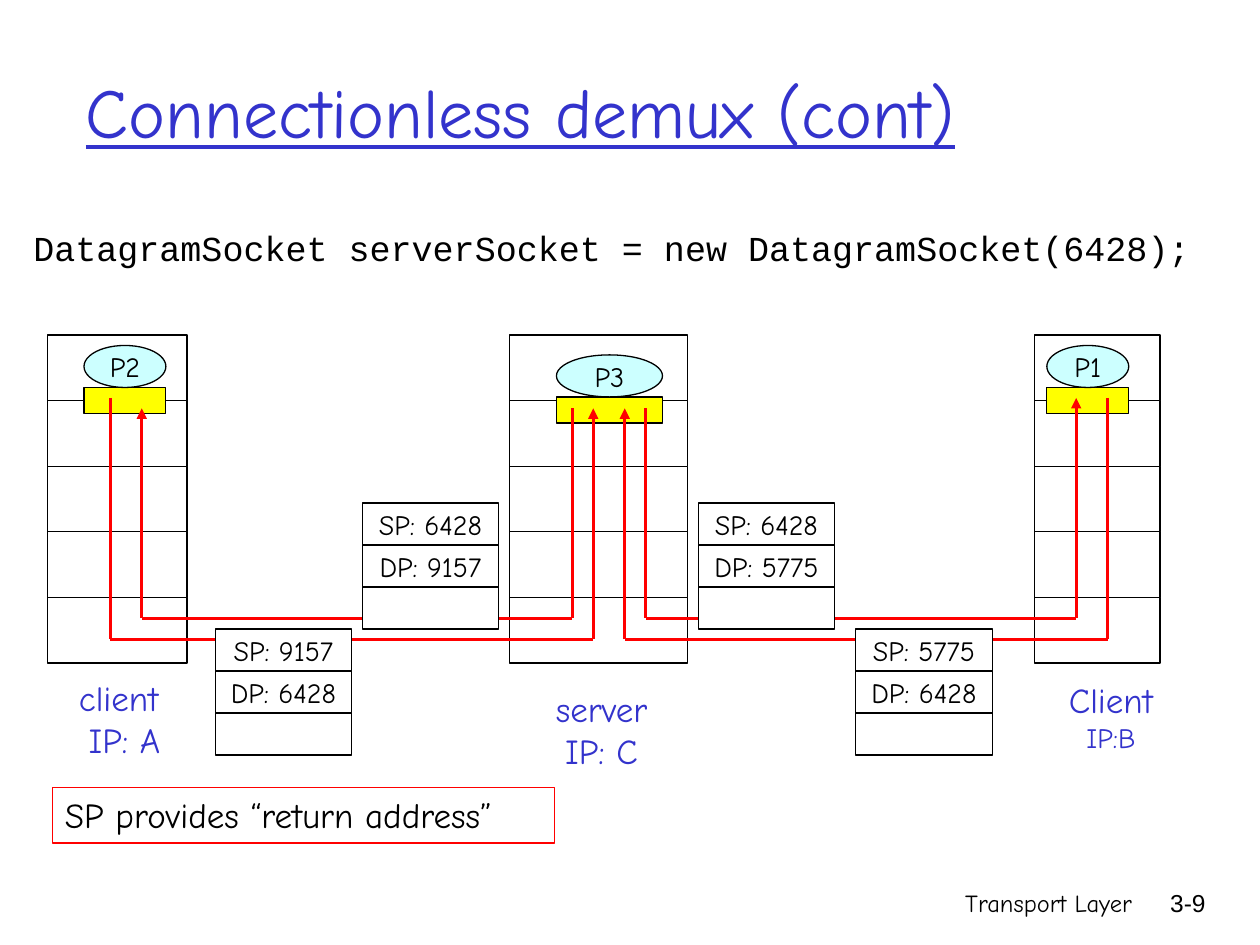
from dataclasses import dataclass

import pptx
import pptx.dml.color
import pptx.enum.shapes
import pptx.enum.text
import pptx.oxml.ns
import pptx.util
from lxml import etree

COLUMNS, ROWS = 120, 90
SLIDE_WIDTH = pptx.util.Inches(10)
SLIDE_HEIGHT = pptx.util.Inches(7.5)
LAYER_ROWS = 6.25
LAYERS = 5
PACKET_COLUMNS, PACKET_ROWS = 13, 4
PROCESS_ROWS, SOCKET_ROWS = 4, 2.5
COLORS = {
    "ink": "000000", "paper": "FFFFFF", "heading": "3333CC",
    "socket": "FFFF00", "process": "CCFFFF", "flow": "FF0000",
}
HAND, SANS, MONO = "Comic Neue", "Arial", "Courier New"
SHAPES = pptx.enum.shapes.MSO_SHAPE
ALIGN = pptx.enum.text.PP_ALIGN
ANCHOR = pptx.enum.text.MSO_ANCHOR


@dataclass(frozen=True)
class Area:
    """Place on the slide grid, in columns and rows."""
    column: float
    row: float
    columns: float
    rows: float

    def lengths(self) -> tuple[int, int, int, int]:
        return (across(self.column), down(self.row),
                across(self.columns), down(self.rows))


@dataclass(frozen=True)
class Line:
    text: str
    size: float = 20
    color: str = "ink"
    font: str = HAND
    underline: bool = False


@dataclass(frozen=True)
class Host:
    column: float
    columns: float
    process: str
    process_column: float
    process_row: float
    process_columns: float
    label_area: Area
    label: tuple[Line, ...]


@dataclass(frozen=True)
class Flow:
    """Path down from a sending socket, across, and up to a receiver."""
    start_column: float
    start_row: float
    low_row: float
    end_column: float
    end_row: float


@dataclass(frozen=True)
class Packet:
    column: float
    row: float
    source_port: int
    destination_port: int


HOSTS = (
    Host(4.5, 13.3, "P2", 8, 32.9, 7.8, Area(5.6, 63.8, 11.4, 9.2),
         (Line("client", color="heading"), Line(" IP: A", color="heading"))),
    Host(98.5, 12, "P1", 99.7, 32.9, 7.8, Area(100.1, 64, 11.4, 8.4),
         (Line("Client", color="heading"), Line("IP:B", 16, "heading"))),
    Host(48.5, 17, "P3", 53, 33.8, 10.1, Area(51, 64.9, 12.6, 9.2),
         (Line("server", color="heading"), Line("IP: C", color="heading"))),
)
FLOWS = (
    Flow(10.5, 37.9, 60.9, 56.5, 38.9),
    Flow(54.5, 38.9, 58.9, 13.5, 38.9),
    Flow(105.5, 37.9, 60.9, 59.5, 38.9),
    Flow(61.5, 38.9, 58.9, 102.5, 37.9),
)
PACKETS = (
    Packet(34.5, 47.9, 6428, 9157),
    Packet(20.5, 59.9, 9157, 6428),
    Packet(66.5, 47.9, 6428, 5775),
    Packet(81.5, 59.9, 5775, 6428),
)


def across(columns: float) -> int:
    return round(SLIDE_WIDTH * columns / COLUMNS)


def down(rows: float) -> int:
    return round(SLIDE_HEIGHT * rows / ROWS)


def rgb(name: str) -> pptx.dml.color.RGBColor:
    return pptx.dml.color.RGBColor.from_string(COLORS[name])


def write(shape, lines: tuple[Line, ...], align=ALIGN.CENTER,
          anchor=ANCHOR.TOP, wrap: bool = False) -> None:
    frame = shape.text_frame
    frame.word_wrap = wrap
    frame.vertical_anchor = anchor
    for index, line in enumerate(lines):
        paragraph = frame.add_paragraph() if index else frame.paragraphs[0]
        paragraph.text = line.text
        paragraph.alignment = align
        font = paragraph.font
        font.name = line.font
        font.size = pptx.util.Pt(line.size)
        font.color.rgb = rgb(line.color)
        if line.underline:
            font.underline = True


def add_text(slide, area: Area, *lines: Line, align=ALIGN.LEFT,
             anchor=ANCHOR.TOP, wrap: bool = True) -> None:
    write(slide.shapes.add_textbox(*area.lengths()), lines, align, anchor, wrap)


def add_box(slide, area: Area, fill: str | None = "paper", text: str = "",
            kind=SHAPES.RECTANGLE, outline: str = "ink"):
    shape = slide.shapes.add_shape(kind, *area.lengths())
    shape.shadow.inherit = False
    if fill:
        shape.fill.solid()
        shape.fill.fore_color.rgb = rgb(fill)
    else:
        shape.fill.background()
    shape.line.color.rgb = rgb(outline)
    shape.line.width = pptx.util.Pt(0.75)
    if text:
        write(shape, (Line(text, 16),), anchor=ANCHOR.MIDDLE)
    return shape


def add_host(slide, host: Host) -> None:
    for layer in range(LAYERS):
        add_box(slide, Area(host.column, 31.9 + layer * LAYER_ROWS,
                            host.columns, LAYER_ROWS))
    add_box(slide, Area(host.process_column, host.process_row + PROCESS_ROWS,
                        host.process_columns, SOCKET_ROWS), "socket")
    add_box(slide, Area(host.process_column, host.process_row,
                        host.process_columns, PROCESS_ROWS),
            "process", host.process, SHAPES.OVAL)
    add_text(slide, host.label_area, *host.label, align=ALIGN.CENTER, wrap=False)


def add_flow(slide, flow: Flow) -> None:
    corners = ((flow.start_column, flow.start_row),
               (flow.start_column, flow.low_row),
               (flow.end_column, flow.low_row),
               (flow.end_column, flow.end_row))
    for start, end in zip(corners, corners[1:]):
        connector = slide.shapes.add_connector(
            pptx.enum.shapes.MSO_CONNECTOR.STRAIGHT,
            across(start[0]), down(start[1]), across(end[0]), down(end[1]))
        connector.line.color.rgb = rgb("flow")
        connector.line.width = pptx.util.Pt(1.5)
        if end == corners[-1]:
            etree.SubElement(connector.line._get_or_add_ln(),
                             pptx.oxml.ns.qn("a:tailEnd"), type="triangle")
        etree.SubElement(connector._element.spPr, pptx.oxml.ns.qn("a:effectLst"))


def add_packet(slide, packet: Packet) -> None:
    fields = (f"SP: {packet.source_port}", f"DP: {packet.destination_port}", "")
    for index, field in enumerate(fields):
        add_box(slide, Area(packet.column, packet.row + index * PACKET_ROWS,
                            PACKET_COLUMNS, PACKET_ROWS), text=field)


def main() -> None:
    presentation = pptx.Presentation()
    presentation.slide_width = SLIDE_WIDTH
    presentation.slide_height = SLIDE_HEIGHT
    slide = presentation.slides.add_slide(presentation.slide_layouts[6])
    add_text(slide, Area(71, 84, 38, 6), Line("Transport Layer", 14), align=ALIGN.RIGHT)
    add_text(slide, Area(107.2, 84, 8.8, 6), Line("3-9", 14, font=SANS), align=ALIGN.RIGHT)
    add_text(slide, Area(7, 3, 102, 15),
             Line("Connectionless demux (cont)", 40, "heading", underline=True),
             anchor=ANCHOR.MIDDLE)
    add_text(slide, Area(2, 21, 114, 8),
             Line("DatagramSocket serverSocket = new DatagramSocket(6428);", font=MONO))
    for host in HOSTS:
        add_host(slide, host)
    for flow in FLOWS:
        add_flow(slide, flow)
    for packet in PACKETS:
        add_packet(slide, packet)
    note = add_box(slide, Area(5, 75, 47.8, 5.3), None, outline="flow")
    write(note, (Line("SP provides “return address”"),), ALIGN.LEFT, wrap=True)
    presentation.save("out.pptx")


if __name__ == "__main__":
    main()
